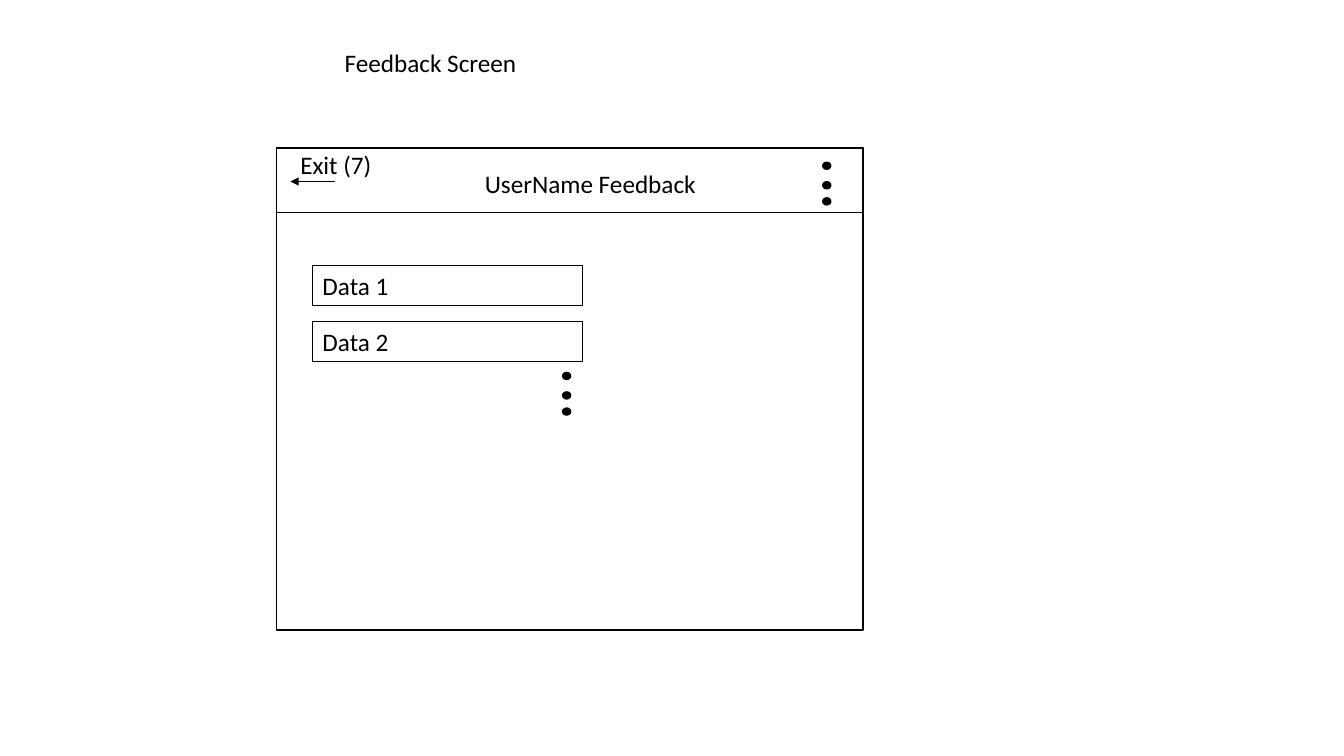
from lxml.etree import SubElement
from pptx import Presentation
from pptx.dml.color import RGBColor
from pptx.enum.shapes import MSO_CONNECTOR, MSO_SHAPE
from pptx.enum.text import MSO_AUTO_SIZE, MSO_ANCHOR, PP_ALIGN
from pptx.oxml.ns import qn
from pptx.util import Inches, Pt

BLACK, WHITE = "000000", "FFFFFF"
CELL = Inches(0.1)  # the slide is a grid of square cells

prs = Presentation()
prs.slide_width, prs.slide_height = Inches(13.33), Inches(7.5)
s = prs.slides.add_slide(prs.slide_layouts[6])


def add_box(kind, col, row, cols, rows, fill=None, line=BLACK, weight=1):
    sp = s.shapes.add_shape(kind, *(round(n * CELL) for n in (col, row, cols, rows)))
    sp.shadow.inherit = False
    for part, color in ((sp.fill, fill), (sp.line.fill, line)):
        if color:
            part.solid()
            part.fore_color.rgb = RGBColor.from_string(color)
        else:
            part.background()
    if line:
        sp.line.width = Pt(weight)
    return sp


def set_label(sp, text):
    tf = sp.text_frame
    tf.text = text
    tf.word_wrap = True
    tf.auto_size = MSO_AUTO_SIZE.SHAPE_TO_FIT_TEXT
    tf.vertical_anchor = MSO_ANCHOR.TOP
    p = tf.paragraphs[0]
    p.alignment = PP_ALIGN.LEFT
    font = p.runs[0].font
    font.name, font.size = "Calibri", Pt(18)
    font.color.rgb = RGBColor.from_string(BLACK)


# Window and its title bar
left, top, width = 27.4, 14.7, 58.2
for height in (47.8, 6.4):
    add_box(MSO_SHAPE.RECTANGLE, left, top, width, height)

# Captions
label_height = 4
for text, col, row, cols in (
    ("Feedback Screen", 33.2, 4.2, 56.3),
    ("UserName Feedback", 47.1, 16.2, 25.4),
    ("Exit (7)", 28.8, 14.3, 10),
):
    tb = s.shapes.add_textbox(*(round(n * CELL) for n in (col, row, cols, label_height)))
    set_label(tb, text)

# Exit arrow
arrow = s.shapes.add_connector(
    MSO_CONNECTOR.STRAIGHT, *(round(n * CELL) for n in (33.2, 18, 28.8, 18)))
arrow.line.color.rgb = RGBColor.from_string(BLACK)
arrow.line.width = Pt(0.5)
SubElement(arrow.line._get_or_add_ln(), qn("a:tailEnd"), type="triangle")
SubElement(arrow._element.spPr, qn("a:effectLst"))

# Data fields
for i in range(2):
    field = add_box(MSO_SHAPE.RECTANGLE, 31, 26.3 + 5.6 * i, 26.8, label_height,
                    fill=WHITE, weight=0.75)
    set_label(field, f"Data {i + 1}")

# Vertical dots: the menu and the continuation of the fields
for col, row in ((81.6, 16.1), (55.8, 36.95)):
    for step in (0, 1.93, 3.53):
        add_box(MSO_SHAPE.OVAL, col, row + step, 0.8, 0.7, fill=BLACK)

prs.save("out.pptx")
